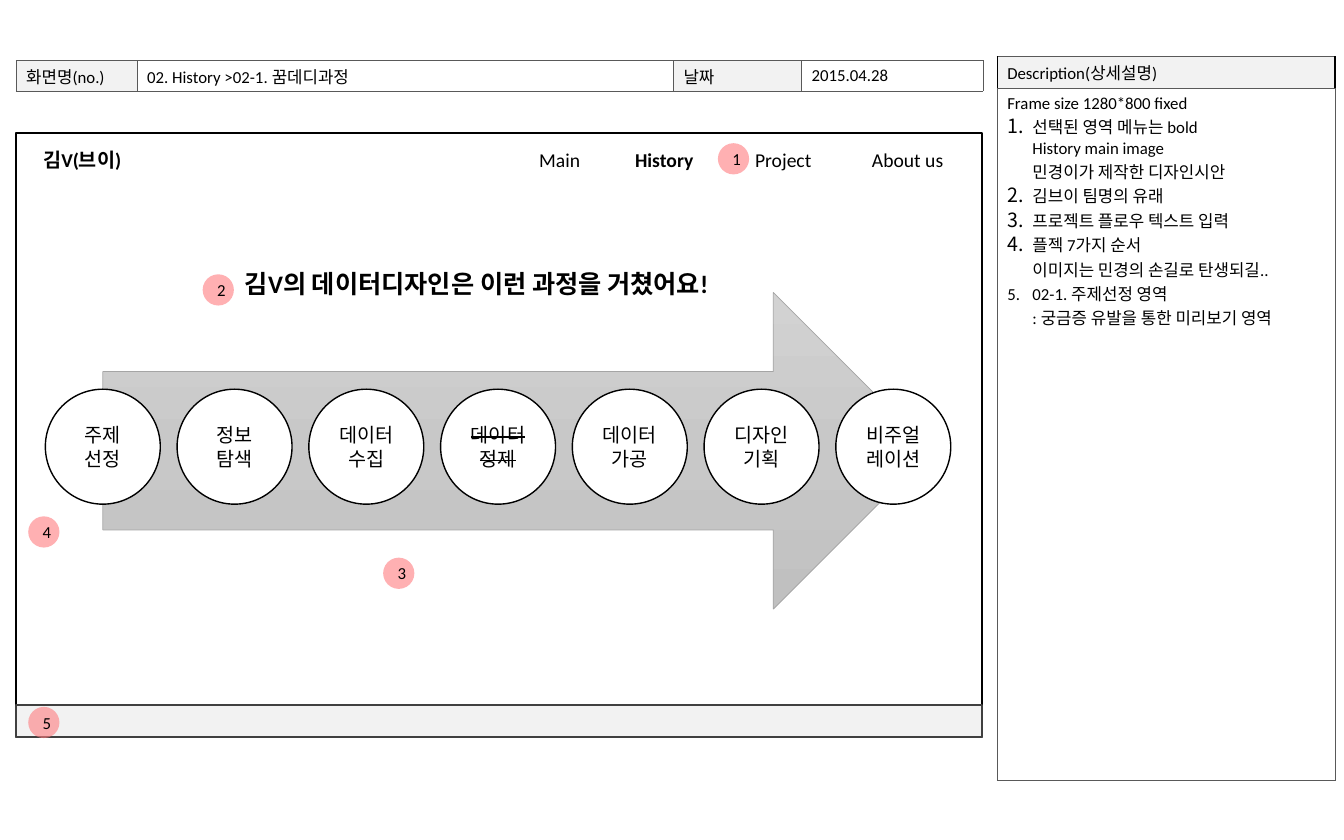
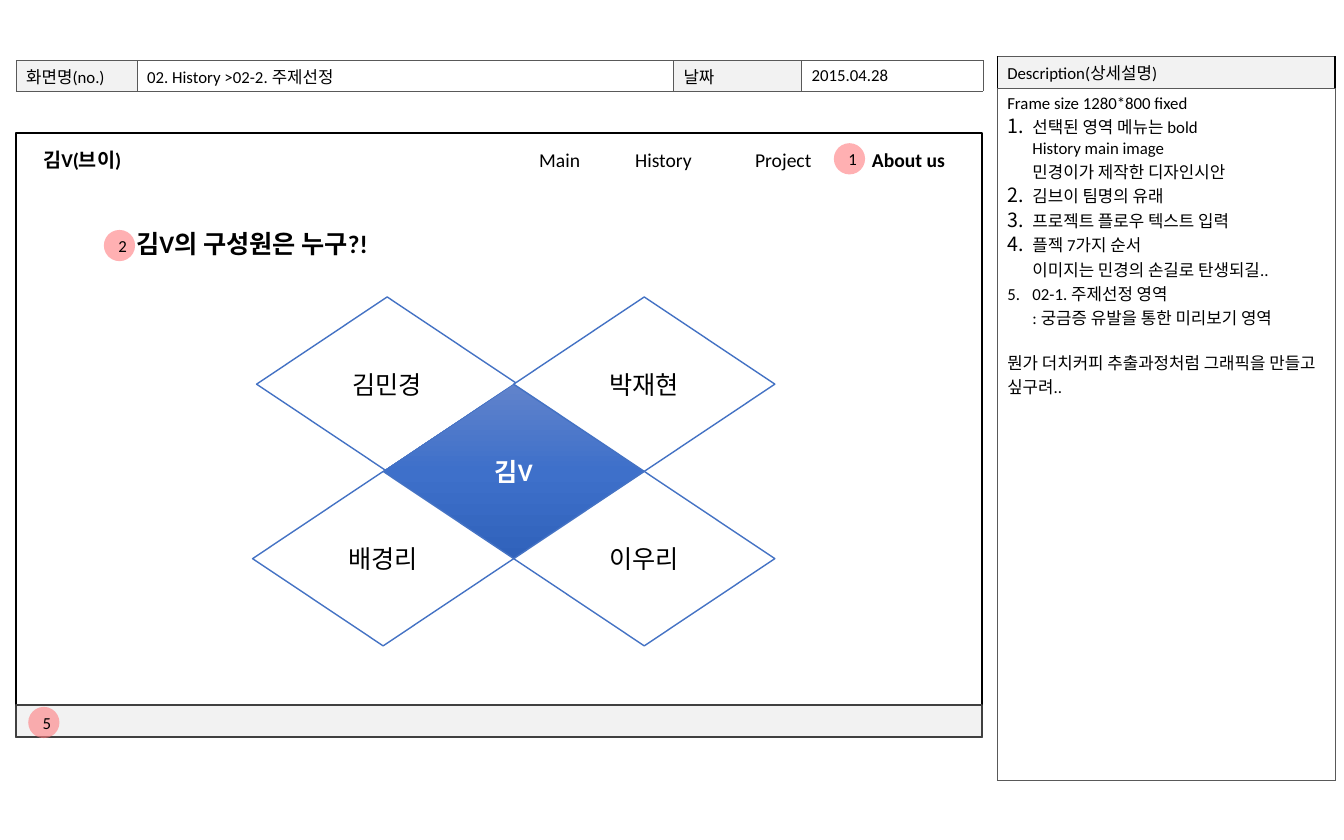
from pptx import Presentation
from pptx import util as u
from pptx.dml.color import RGBColor
from pptx.enum import shapes, text
from pptx.oxml import parse_xml
from pptx.oxml.ns import nsdecls, qn

SLIDE_W, SLIDE_H = 13.33, 8.33
FONT = "Calibri"
BLACK, WHITE, PALE, GREY = "000000", "FFFFFF", "F2F2F2", "595959"
DARK, PINK, BLUE = "404040", "FF7C80", "4472C4"
FRAME_X, FRAME_Y, FRAME_W, FRAME_H = 0.16, 1.32, 9.58, 5.99
FOOTER_H = 0.32
NAV_Y, BADGE = 1.42, 0.31
OVAL = shapes.MSO_SHAPE.OVAL
RECT = shapes.MSO_SHAPE.RECTANGLE
LEFT, CENTER = text.PP_ALIGN.LEFT, text.PP_ALIGN.CENTER
TOP, MIDDLE = text.MSO_ANCHOR.TOP, text.MSO_ANCHOR.MIDDLE

MENU = {"Main": (5.25, 0.67), "History": (6.2, 0.88),
        "Project": (7.39, 0.81), "About us": (8.55, 1.06)}
# Numbered notes: text and size of the number relative to the text
NOTES = [
    ("선택된 영역 메뉴는 bold\vHistory main image\v민경이가 제작한 디자인시안", 117),
    ("김브이 팀명의 유래", 117),
    ("프로젝트 플로우 텍스트 입력", 117),
    ("플젝 7가지 순서\v이미지는 민경의 손길로 탄생되길..", 117),
    ("02-1. 주제선정 영역\v: 궁금증 유발을 통한 미리보기 영역", 100),
]


def color(code):
    return RGBColor.from_string(code)


def inches(*lengths):
    return [u.Inches(length) for length in lengths]


def set_font(para, size=12, tint=BLACK, bold=False, align=LEFT):
    para.alignment = align
    font = para.font
    font.name, font.size, font.bold = FONT, u.Pt(size), bold
    font.color.rgb = color(tint)


def write(frame, lines, anchor=TOP, **style):
    frame.word_wrap = True
    frame.vertical_anchor = anchor
    frame.text = "\n".join(lines)
    for para in frame.paragraphs:
        set_font(para, **style)


def add_label(parent, box, words, **style):
    label = parent.add_textbox(*inches(*box))
    write(label.text_frame, [words], **style)


def add_figure(page, kind, box, fill, line=None, width=1, lines=(), **style):
    """Add a preset shape; a list of colours as fill makes a vertical gradient."""
    figure = page.shapes.add_shape(kind, *inches(*box))
    figure.shadow.inherit = False
    if isinstance(fill, list):
        set_gradient(figure, fill)
    else:
        figure.fill.solid()
        figure.fill.fore_color.rgb = color(fill)
    if line:
        figure.line.color.rgb = color(line)
        figure.line.width = u.Pt(width)
    else:
        figure.line.fill.background()
    if lines:
        write(figure.text_frame, lines, MIDDLE, align=CENTER, **style)
    return figure


def set_gradient(figure, tints):
    figure.fill.gradient()
    figure.fill.gradient_angle = 270
    stops = figure.element.spPr.find(".//" + qn("a:gsLst"))
    for stop in list(stops):
        stops.remove(stop)
    for index, tint in enumerate(tints):
        place = index * 100000 // (len(tints) - 1)
        stops.append(parse_xml(
            f'<a:gs {nsdecls("a")} pos="{place}"><a:srgbClr val="{tint}"/></a:gs>'))


def add_badge(page, number, left, top):
    badge = add_figure(page, OVAL, (left, top, BADGE, BADGE), PINK,
                       lines=[str(number)])
    tint = badge.element.spPr.find(".//" + qn("a:srgbClr"))
    tint.append(parse_xml(f'<a:alpha {nsdecls("a")} val="60000"/>'))


def add_grid(page, left, top, columns, rows):
    box = inches(left, top, sum(columns), sum(rows))
    table = page.shapes.add_table(len(rows), len(columns), *box).table
    table.first_row = table.horz_banding = False
    for column, width in zip(table.columns, columns):
        column.width = u.Inches(width)
    for row, height in zip(table.rows, rows):
        row.height = u.Inches(height)
    return table


def format_cell(cell, fill=None, sides=(GREY, 0.5)):
    for edge in "LRTB":
        tint, width = sides if edge in "LR" else (GREY, 0.5)
        cell._tc.get_or_add_tcPr().append(parse_xml(
            f'<a:ln{edge} {nsdecls("a")} w="{int(u.Pt(width))}"><a:solidFill>'
            f'<a:srgbClr val="{tint}"/></a:solidFill></a:ln{edge}>'))
    if fill:
        cell.fill.solid()
        cell.fill.fore_color.rgb = color(fill)
    else:
        cell.fill.background()


def fill_heading(cell, words, fill=None, **borders):
    format_cell(cell, fill, **borders)
    cell.margin_top = cell.margin_bottom = u.Inches(0.03)
    cell.vertical_anchor = MIDDLE
    cell.text = words
    set_font(cell.text_frame.paragraphs[0])


def number_note(para, percent):
    props = para._p.get_or_add_pPr()
    indent = int(u.Inches(0.25))
    props.set("marL", str(indent))
    props.set("indent", str(-indent))
    props.append(parse_xml(
        f'<a:buSzPct {nsdecls("a")} val="{percent * 1000}"/>'))
    props.append(parse_xml(
        f'<a:buAutoNum {nsdecls("a")} type="arabicPeriod"/>'))


def add_info_bar(page, screen):
    table = add_grid(page, FRAME_X, 0.6, [1.2, 5.32, 1.27, 1.8], [0.3])
    words = ["화면명(no.)", screen, "날짜", "2015.04.28"]
    for index, entry in enumerate(words):
        fill_heading(table.cell(0, index), entry, None if index % 2 else PALE)


def add_description(page, remark):
    table = add_grid(page, 9.89, 0.56, [3.35], [0.32, 6.86])
    fill_heading(table.cell(0, 0), "Description(상세설명)", PALE, sides=(BLACK, 1))
    body = table.cell(1, 0)
    format_cell(body)
    frame = body.text_frame
    frame.text = "Frame size 1280*800 fixed"
    set_font(frame.paragraphs[0])
    for note, percent in NOTES:
        para = frame.add_paragraph()
        para.text = note
        number_note(para, percent)
        set_font(para)
    if remark:
        para = frame.add_paragraph()
        para.text = remark
        para.space_before = u.Pt(14.5)
        set_font(para)


def add_title(page, words, box):
    title = page.shapes.title
    page.shapes.element.append(title.element)  # bring above the frame
    title.left, title.top, title.width, title.height = inches(*box)
    write(title.text_frame, [words], size=18, bold=True)
    title.text_frame.auto_size = text.MSO_AUTO_SIZE.NONE


def add_screen(deck, screen, active, title, title_box, badges, remark=None):
    """Build what every screen shares: tables, frame, menu, title, badges."""
    page = deck.slides.add_slide(deck.slide_layouts[5])
    add_description(page, remark)
    add_figure(page, RECT, (FRAME_X, FRAME_Y, FRAME_W, FRAME_H), WHITE, BLACK)
    add_info_bar(page, screen)
    menu = page.shapes.add_group_shape()
    for entry, (left, width) in MENU.items():
        add_label(menu.shapes, (left, NAV_Y, width, 0.34), entry,
                  size=14, bold=entry == active)
    footer_y = FRAME_Y + FRAME_H - FOOTER_H
    add_figure(page, RECT, (FRAME_X, footer_y, FRAME_W, FOOTER_H), PALE, DARK)
    add_label(page.shapes, (0.33, NAV_Y, 1.06, 0.34), "김V(브이)",
              size=14, bold=True)
    add_title(page, title, title_box)
    add_badge(page, 1, MENU[active][0] - 0.28 if active == "About us" else 7.12, NAV_Y)
    add_badge(page, 5, 0.28, 7.01)
    for badge in badges:
        add_badge(page, *badge)
    return page


def add_process(page):
    add_figure(page, shapes.MSO_SHAPE.RIGHT_ARROW, (1.02, 2.9, 8.22, 3.14),
               ["D2D2D2", "C8C8C8", "C0C0C0"], "A5A5A5", 0.5)
    steps = ["주제 선정", "정보 탐색", "데이터 수집", "데이터 정제",
             "데이터 가공", "디자인 기획", "비주얼레이션"]
    first, last, size = 0.45, 8.29, 1.14
    pitch = (last - first) / (len(steps) - 1)
    for index, step in enumerate(steps):
        circle = add_figure(page, OVAL, (first + index * pitch, 3.86, size, size),
                            WHITE, BLACK, lines=step.split(), size=14)
        if step == "데이터 정제":
            for para in circle.text_frame.paragraphs:
                para.font._rPr.set("strike", "sngStrike")


def add_members(page):
    width, height, left, top = 2.59, 1.73, 3.8, 3.81
    # Name, half-steps across and down from the middle, shift to the right
    members = [("김민경", -1, -1, 0.04), ("김V", 0, 0, 0), ("배경리", -1, 1, 0),
               ("이우리", 1, 1, 0), ("박재현", 1, -1, 0)]
    for name, across, down, shift in members:
        box = (left + across * width / 2 + shift, top + down * height / 2,
               width, height)
        middle = not across
        add_figure(page, shapes.MSO_SHAPE.FLOWCHART_DECISION, box,
                   ["6183CB", "3E70CA", "3062BB"] if middle else WHITE,
                   BLUE, 0.5 if middle else 1, [name], size=18,
                   tint=WHITE if middle else BLACK, bold=middle)


def main():
    deck = Presentation()
    deck.slide_width, deck.slide_height = inches(SLIDE_W, SLIDE_H)

    # Process screen
    page = add_screen(
        deck, "02. History >02-1. 꿈데디과정", "History",
        "김V의 데이터디자인은 이런 과정을 거쳤어요!", (2.33, 2.61, 5.36, 0.4),
        [(2, 2.01, 2.72), (3, 3.8, 5.53), (4, 0.28, 5.12)])
    add_process(page)

    # Team screen
    page = add_screen(
        deck, "02. History >02-2. 주제선정", "About us",
        "김V의 구성원은 누구?!", (1.25, 2.21, 3, 0.4), [(2, 1.03, 2.28)],
        "뭔가 더치커피 추출과정처럼 그래픽을 만들고 싶구려..")
    add_members(page)

    deck.save("out.pptx")


if __name__ == "__main__":
    main()
